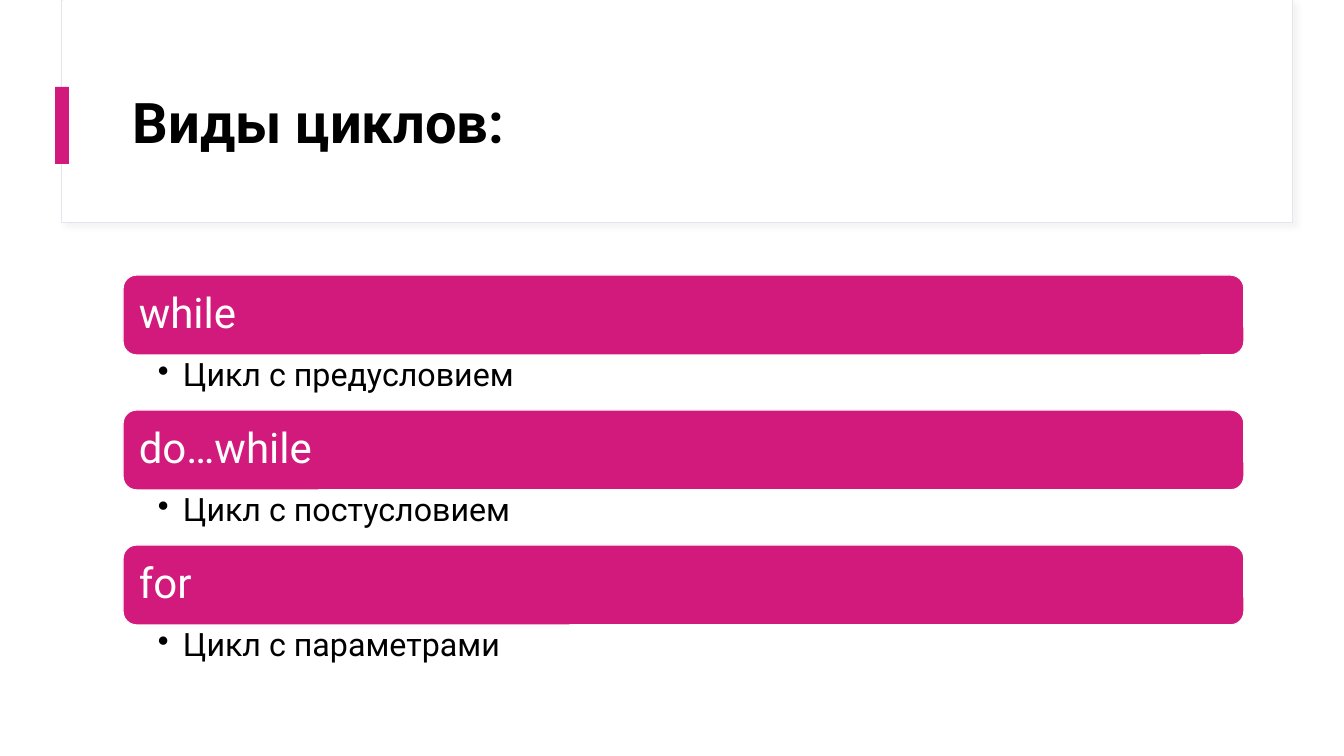
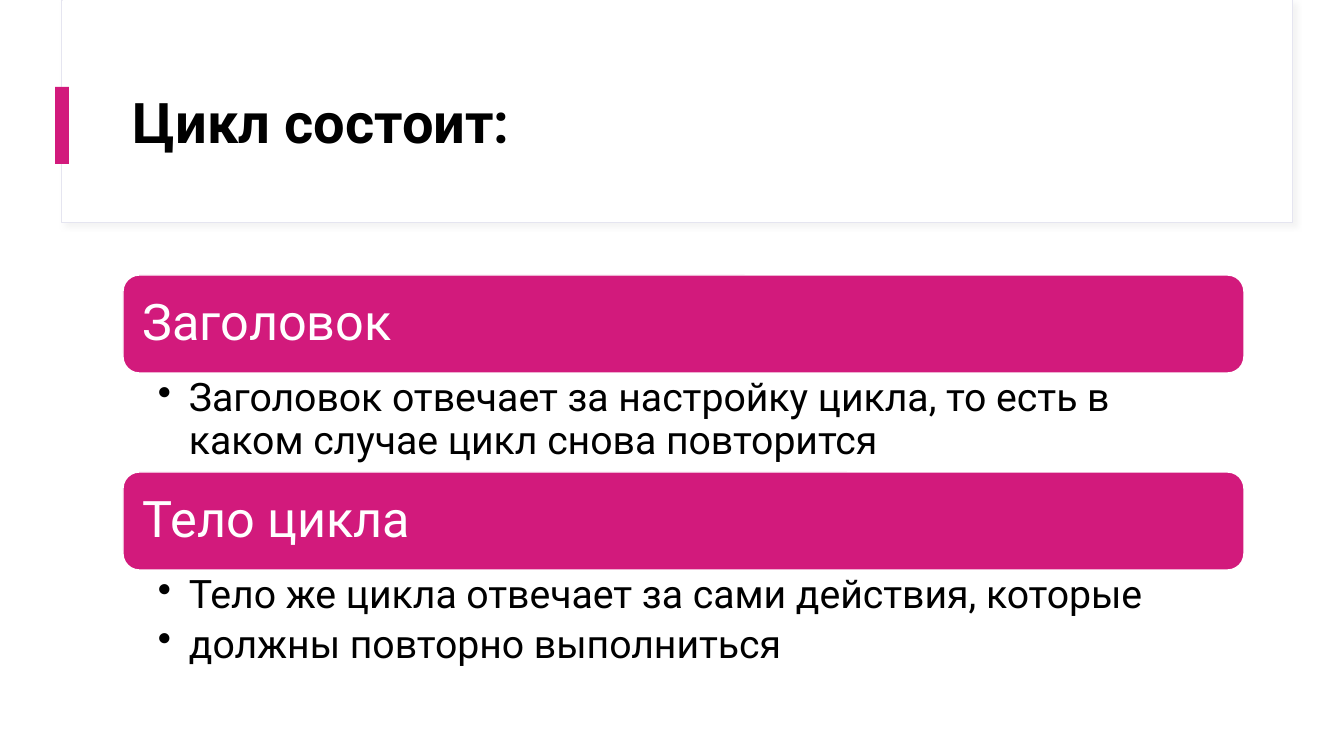
from dataclasses import dataclass

from lxml import etree
from pptx import Presentation
from pptx import util as u
from pptx.dml.color import RGBColor
from pptx.enum import shapes, text
from pptx.oxml import ns

# Shared look
SCALE = 914400 / 100.8
FONT = "Roboto"
PINK, WHITE, BLACK = "D21A7C", "FFFFFF", "000000"
FRAME_LINE, SHADOW = "E5E5F0", "D9D9D9"
LEFT, WIDTH, LIST_TOP = 123, 1121, 275


@dataclass
class ListStyle:
    bar_height: int
    bar_size: int
    bar_inset: int
    caption_size: int
    caption_insets: tuple
    indent: int


COMPACT = ListStyle(80, 30, 12, 23, (35, 4, 23, 4), 25)
LARGE = ListStyle(98, 36, 15, 28, (35, 5, 28, 5), 31)


def px(value):
    return u.Emu(round(value * SCALE))


def color(value):
    return RGBColor.from_string(value)


def add_block(slide, box, fill, line=None, line_width=1, kind=shapes.MSO_SHAPE.RECTANGLE):
    shape = slide.shapes.add_shape(kind, *map(px, box))
    shape.shadow.inherit = False
    shape.fill.solid()
    shape.fill.fore_color.rgb = color(fill)
    if line:
        shape.line.color.rgb = color(line)
        shape.line.width = u.Pt(line_width)
    else:
        shape.line.fill.background()
    return shape


def add_soft_shadow(shape):
    effects = shape._element.spPr.find(ns.qn("a:effectLst"))
    shadow = etree.SubElement(effects, ns.qn("a:outerShdw"), blurRad=str(u.Pt(4)),
                              dist=str(u.Pt(3)), dir=str(45 * 60000))
    tone = etree.SubElement(shadow, ns.qn("a:srgbClr"), val=SHADOW)
    etree.SubElement(tone, ns.qn("a:alpha"), val="30000")


def write(shape, content, size, tone, insets, anchor, bold=False):
    frame = shape.text_frame
    frame.word_wrap = True
    frame.vertical_anchor = anchor
    (frame.margin_left, frame.margin_top,
     frame.margin_right, frame.margin_bottom) = map(px, insets)
    frame.text = content
    for paragraph in frame.paragraphs:
        paragraph.alignment = text.PP_ALIGN.LEFT
        paragraph.line_spacing = 0.9
        for run in paragraph.runs:
            run.font.name = FONT
            run.font.size = u.Pt(size)
            run.font.bold = bold
            run.font.color.rgb = color(tone)
    return frame


def add_bullets(frame, indent, space_after):
    for paragraph in frame.paragraphs:
        paragraph.space_after = u.Pt(space_after)
        properties = paragraph._p.get_or_add_pPr()
        properties.set("marL", str(px(indent)))
        properties.set("indent", str(-px(indent)))
        etree.SubElement(properties, ns.qn("a:buChar"), char="•")


def add_titled_slide(presentation, title):
    slide = presentation.slides.add_slide(presentation.slide_layouts[6])
    # Title frame with its accent mark
    add_soft_shadow(add_block(slide, (61.5, 0, 1231, 222.5), WHITE, FRAME_LINE, 0.75))
    add_block(slide, (62.5, 0, 1229.5, 222), WHITE)
    add_block(slide, (55, 87, 14, 77), PINK)
    # Title
    box = slide.shapes.add_textbox(*map(px, (LEFT, 60, WIDTH, 130)))
    write(box, title, 40, BLACK, (10, 5, 10, 5), text.MSO_ANCHOR.MIDDLE, bold=True)
    return slide


def add_bar_list(slide, style, items):
    """Stack pink bars, each followed by its bulleted caption."""
    top = LIST_TOP
    for heading, caption, caption_height in items:
        bar = add_block(slide, (LEFT, top, WIDTH, style.bar_height), PINK, WHITE,
                        kind=shapes.MSO_SHAPE.ROUNDED_RECTANGLE)
        write(bar, heading, style.bar_size, WHITE, (style.bar_inset,) * 4,
              text.MSO_ANCHOR.MIDDLE)
        top += style.bar_height
        box = slide.shapes.add_textbox(*map(px, (LEFT, top, WIDTH, caption_height)))
        frame = write(box, caption, style.caption_size, BLACK, style.caption_insets,
                      text.MSO_ANCHOR.TOP)
        add_bullets(frame, style.indent, 5)
        top += caption_height


def main():
    presentation = Presentation()
    presentation.slide_width, presentation.slide_height = px(1344), px(756)

    # Kinds of loops
    slide = add_titled_slide(presentation, "Виды циклов:")
    add_bar_list(slide, COMPACT, [
        ("while", "Цикл с предусловием", 55),
        ("do…while", "Цикл с постусловием", 55),
        ("for", "Цикл с параметрами", 55),
    ])

    # Parts of a loop
    slide = add_titled_slide(presentation, "Цикл состоит:")
    add_bar_list(slide, LARGE, [
        ("Заголовок", "Заголовок отвечает за настройку цикла, то есть в каком случае "
                      "цикл снова повторится", 99),
        ("Тело цикла", "Тело же цикла отвечает за сами действия, которые\n"
                       "должны повторно выполниться", 109),
    ])

    presentation.save("out.pptx")


main()
